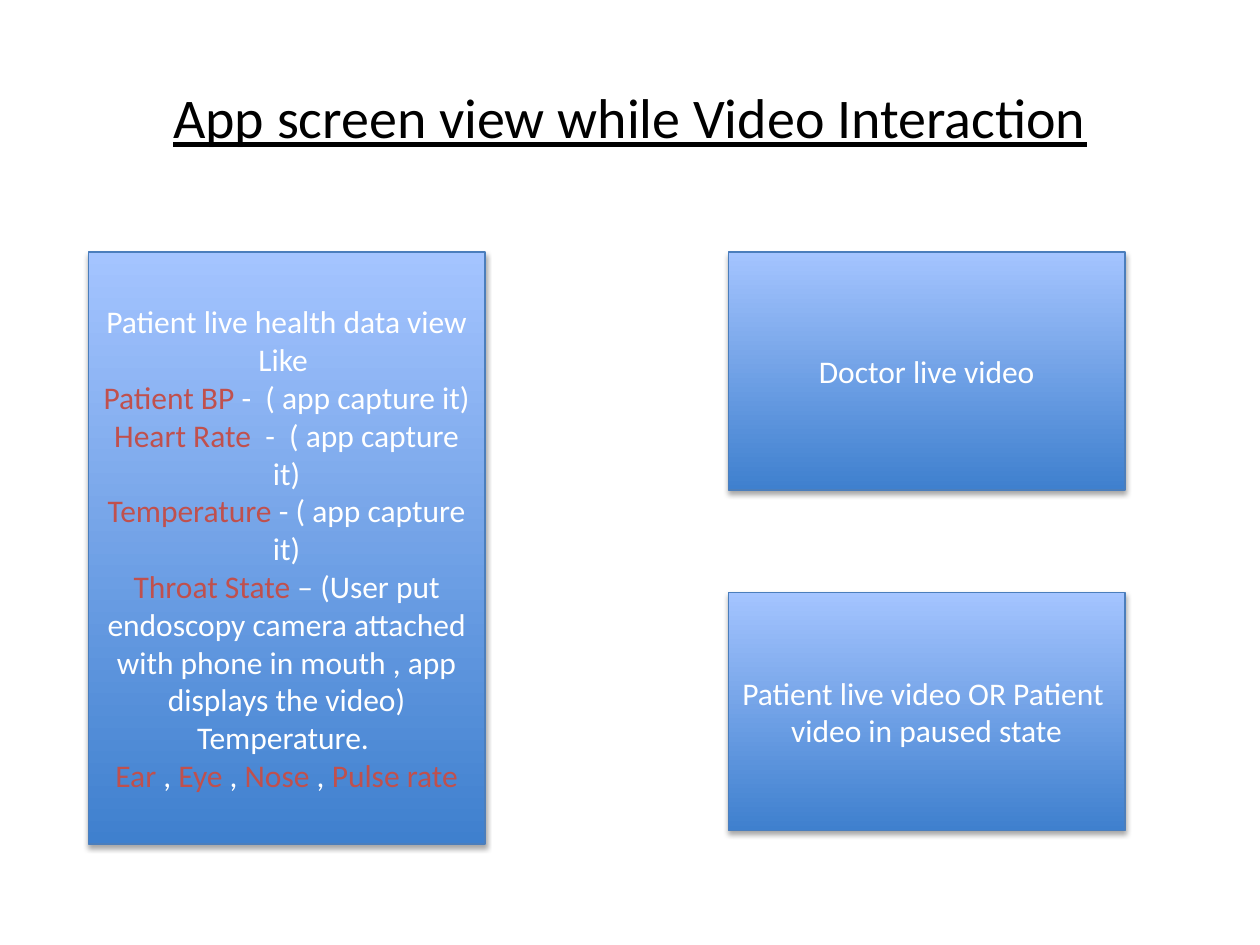
"""Build the slide showing the app screen layout during a video interaction."""
from dataclasses import dataclass

from lxml.etree import SubElement
from pptx import Presentation
from pptx.dml.color import RGBColor
from pptx.enum.shapes import MSO_SHAPE
from pptx.enum.text import MSO_ANCHOR, PP_ALIGN
from pptx.oxml.ns import qn
from pptx.slide import Slide
from pptx.text.text import TextFrame
from pptx.util import Inches, Pt

COLORS = {
    "title": "000000",
    "text": "FFFFFF",
    "accent": "C0504D",
    "bottom": "3F80CE",
    "top": "A4C4FF",
    "line": "4B7EBC",
    "shadow": "000000",
}
FONT = "Calibri"
WIDTH, HEIGHT = Inches(10), Inches(7.5)
COL, ROW = WIDTH / 100, HEIGHT / 75
MARK = "*"


@dataclass
class Panel:
    """A screen area in grid units; text between marks is accented."""
    col: float
    row: float
    cols: float
    rows: float
    lines: tuple[str, ...]

    def box(self) -> tuple[int, int, int, int]:
        """Return left, top, width and height."""
        return (round(self.col * COL), round(self.row * ROW),
                round(self.cols * COL), round(self.rows * ROW))


TITLE = Panel(5, 3, 90, 12.5, ("App screen view while Video Interaction",))
LEFT, RIGHT, TOP, PANEL_COLS, VIDEO_ROWS = 7, 57.8, 20, 31.5, 18.9
PANELS = (
    Panel(RIGHT, TOP, PANEL_COLS, VIDEO_ROWS, ("Doctor live video",)),
    Panel(RIGHT, TOP + 27, PANEL_COLS, VIDEO_ROWS,
          ("Patient live video OR Patient ", "video in paused state")),
    Panel(LEFT, TOP, PANEL_COLS, 47, (
        "Patient live health data view",
        "Like ",
        "*Patient BP* -  ( app capture it)",
        "*Heart Rate  *-  ( app capture it)",
        "*Temperature* - ( app capture it)",
        "*Throat State *– (User put endoscopy camera attached with phone"
        " in mouth , app displays the video)",
        "Temperature. ",
        "*Ear* , *Eye* , *Nose* , *Pulse rate*",
    )),
)


def rgb(name: str) -> RGBColor:
    """Look up a named colour."""
    return RGBColor.from_string(COLORS[name])


def write(tf: TextFrame, lines: tuple[str, ...], size: int, color: str,
          underline: bool = False) -> None:
    """Write centred lines, accenting the marked parts."""
    tf.word_wrap = True
    tf.vertical_anchor = MSO_ANCHOR.MIDDLE
    for i, line in enumerate(lines):
        p = tf.add_paragraph() if i else tf.paragraphs[0]
        p.alignment = PP_ALIGN.CENTER
        for j, part in enumerate(line.split(MARK)):
            if not part:
                continue
            r = p.add_run()
            r.text = part
            r.font.name = FONT
            r.font.size = Pt(size)
            r.font.underline = underline
            r.font.color.rgb = rgb("accent" if j % 2 else color)


def add_title(s: Slide, title: Panel) -> None:
    """Add the underlined heading."""
    sp = s.shapes.add_textbox(*title.box())
    write(sp.text_frame, title.lines, 32, "title", underline=True)


def add_panel(s: Slide, panel: Panel) -> None:
    """Add a gradient rectangle with a soft shadow and its text."""
    sp = s.shapes.add_shape(MSO_SHAPE.RECTANGLE, *panel.box())
    sp.fill.gradient()
    sp.fill.gradient_angle = 90
    for stop, name, position in zip(sp.fill.gradient_stops,
                                    ("bottom", "top"), (0, 1)):
        stop.color.rgb = rgb(name)
        stop.position = position
    sp.line.color.rgb = rgb("line")
    sp.line.width = Pt(0.75)
    sp.shadow.inherit = False
    effects = sp._element.spPr.find(qn("a:effectLst"))
    shadow = SubElement(effects, qn("a:outerShdw"), blurRad=str(Pt(3.1)),
                        dist=str(Pt(1.8)), dir="5400000", rotWithShape="0")
    color = SubElement(shadow, qn("a:srgbClr"), val=COLORS["shadow"])
    SubElement(color, qn("a:alpha"), val="35000")
    write(sp.text_frame, panel.lines, 18, "text")


def main() -> None:
    """Create and save the presentation."""
    prs = Presentation()
    prs.slide_width, prs.slide_height = WIDTH, HEIGHT
    s = prs.slides.add_slide(prs.slide_layouts[6])
    add_title(s, TITLE)
    for panel in PANELS:
        add_panel(s, panel)
    prs.save("out.pptx")


if __name__ == "__main__":
    main()
